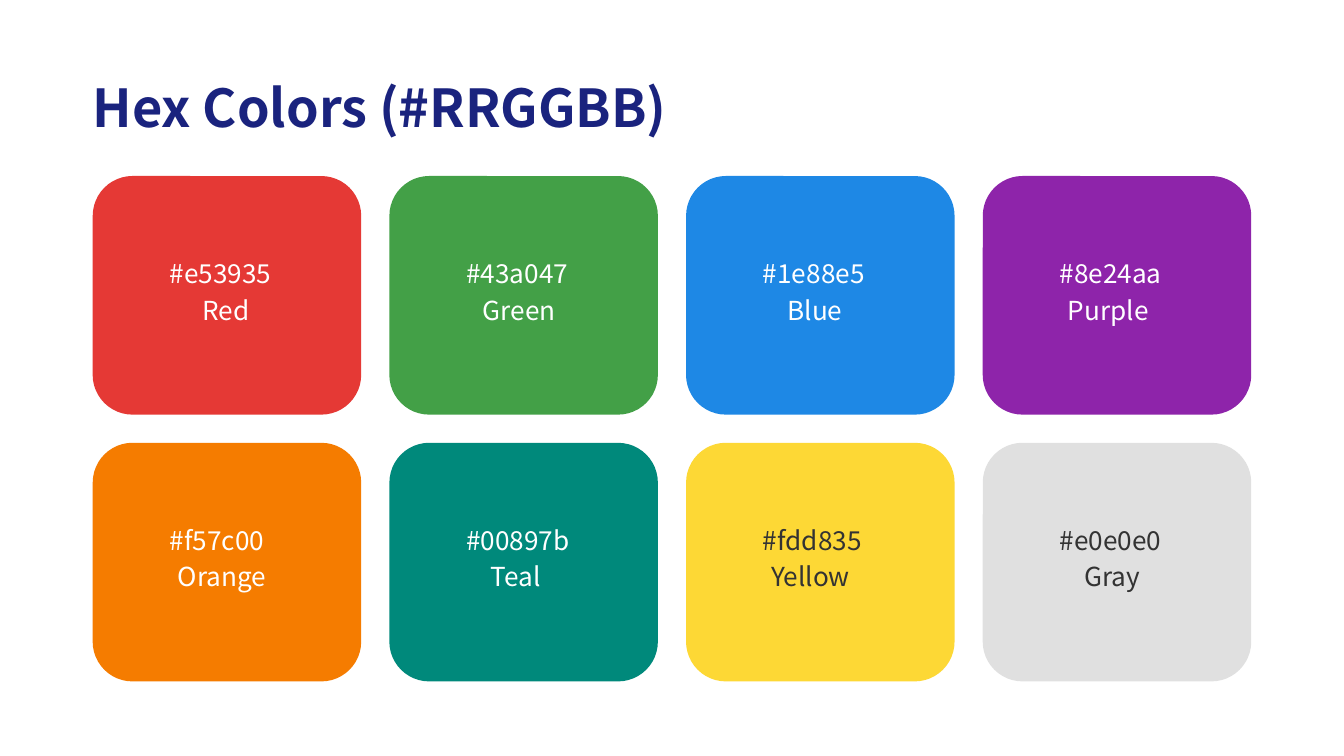
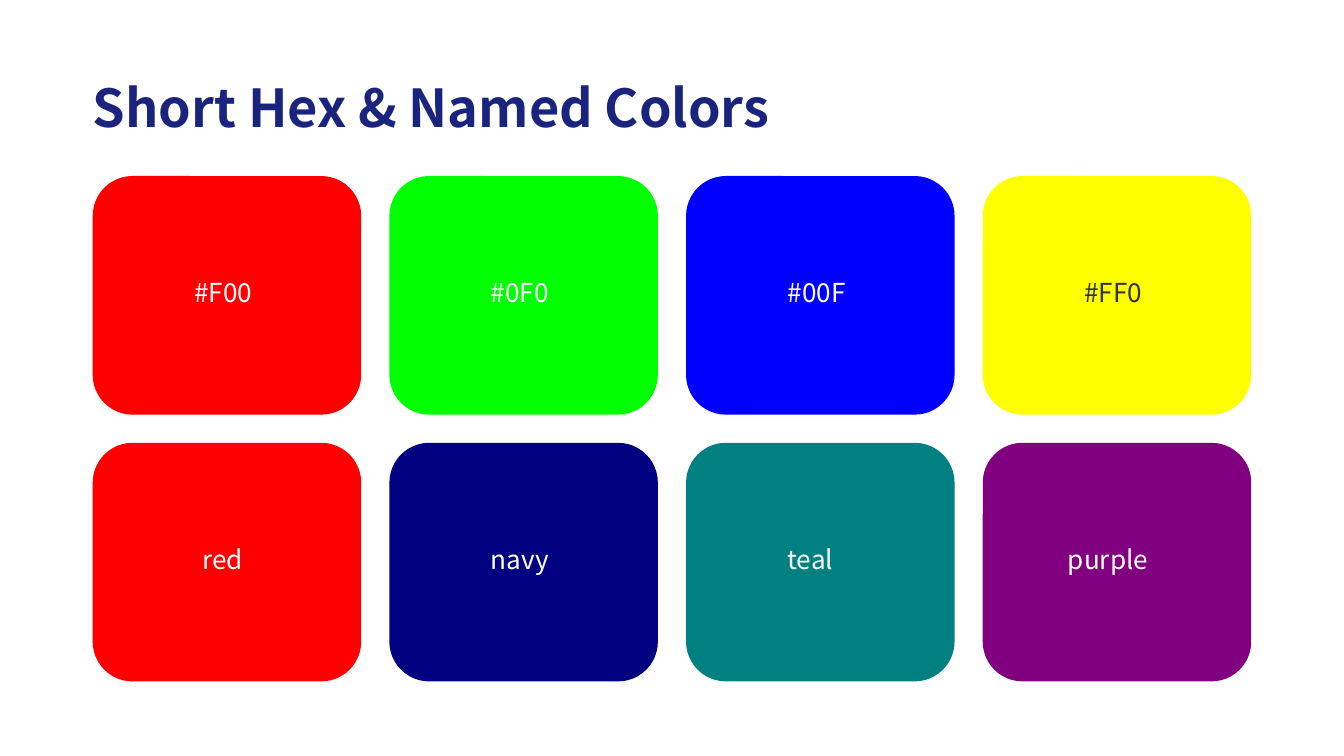
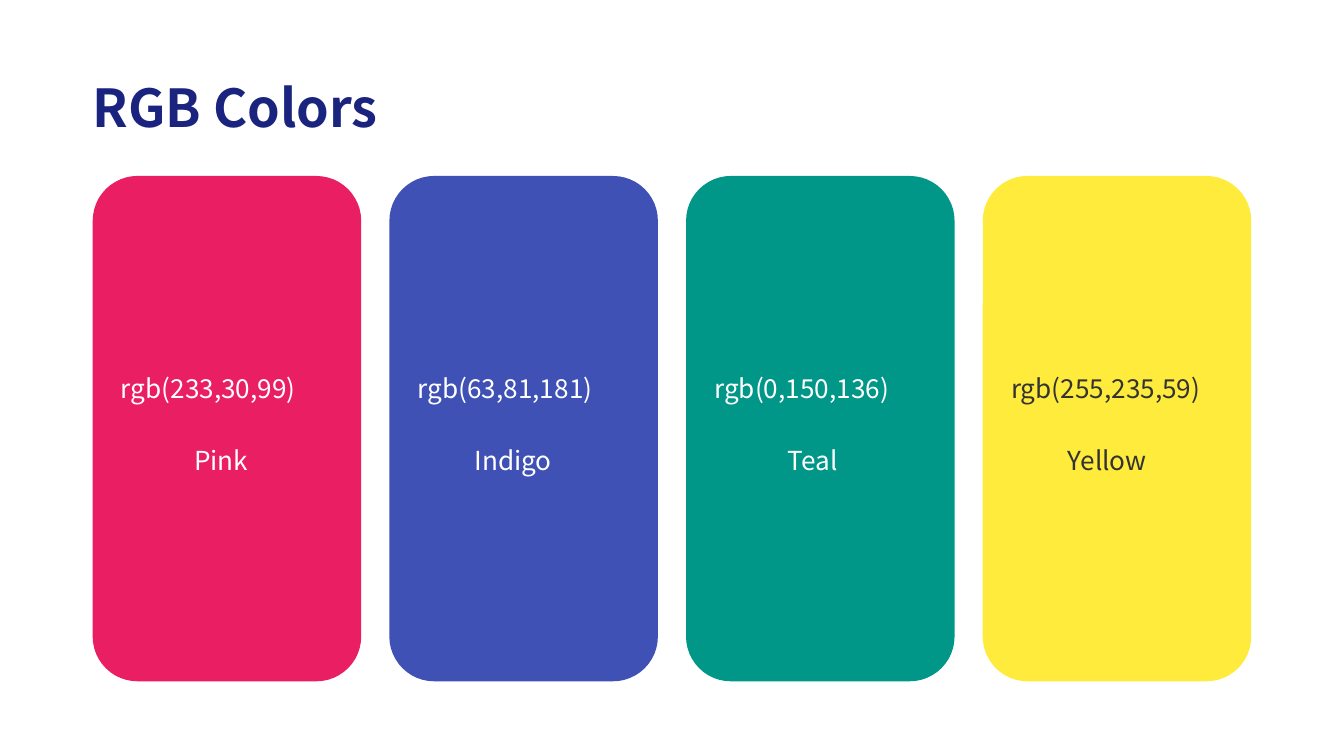
from dataclasses import dataclass
from math import ceil

from pptx import Presentation
from pptx.dml.color import RGBColor
from pptx.enum.shapes import MSO_SHAPE as Preset
from pptx.enum.text import MSO_ANCHOR as Anchor
from pptx.util import Inches, Pt


@dataclass(frozen=True)
class Theme:
    """Type, colours and grid measures shared by all slides."""
    font: str = "Noto Sans CJK SC"
    title_size: int = 28
    caption_size: int = 14
    title_ink: str = "1A237E"
    light_ink: str = "FFFFFF"
    dark_ink: str = "333333"
    bright: int = 180
    width: float = 10
    height: float = 5.625
    margin: float = 0.69
    title_top: float = 0.56
    title_height: float = 0.56
    grid_top: float = 1.31
    grid_height: float = 3.76
    gap: float = 0.21
    columns: int = 4
    letter: float = 0.122
    line_box: float = 0.28
    line_step: float = 0.27

    @property
    def content_width(self):
        """Width between the side margins."""
        return self.width - 2 * self.margin

    def ink_on(self, fill):
        """Pick the text colour that reads on a fill."""
        red, green, blue = RGBColor.from_string(fill)
        luma = 0.299 * red + 0.587 * green + 0.114 * blue
        return self.dark_ink if luma > self.bright else self.light_ink


THEME = Theme()

HEX_COLORS = [
    [("E53935", "#e53935", "Red"), ("43A047", "#43a047", "Green"),
     ("1E88E5", "#1e88e5", "Blue"), ("8E24AA", "#8e24aa", "Purple")],
    [("F57C00", "#f57c00", "Orange"), ("00897B", "#00897b", "Teal"),
     ("FDD835", "#fdd835", "Yellow"), ("E0E0E0", "#e0e0e0", "Gray")],
]
SHORT_AND_NAMED = [
    [("FF0000", "#F00"), ("00FF00", "#0F0"), ("0000FF", "#00F"), ("FFFF00", "#FF0")],
    [("FF0000", "red"), ("000080", "navy"), ("008080", "teal"), ("800080", "purple")],
]
RGB_COLORS = [
    [("E91E63", "rgb(233,30,99)", "Pink"), ("3F51B5", "rgb(63,81,181)", "Indigo"),
     ("009688", "rgb(0,150,136)", "Teal"), ("FFEB3B", "rgb(255,235,59)", "Yellow")],
]


def add_text(shapes, area, text, size, ink, bold=False):
    """Place one line of text in a box without insets."""
    box = shapes.add_textbox(*map(Inches, area))
    frame = box.text_frame
    frame.word_wrap = True
    frame.vertical_anchor = Anchor.TOP
    frame.margin_left = frame.margin_right = frame.margin_top = frame.margin_bottom = 0
    span = frame.paragraphs[0].add_run()
    span.text = text
    span.font.name = THEME.font
    span.font.size = Pt(size)
    span.font.bold = bold
    span.font.color.rgb = RGBColor.from_string(ink)


def add_captions(shapes, area, captions, ink):
    """Stack captions around the centre of a swatch."""
    left, top, width, height = area
    limit = width - 2 * THEME.gap
    lines = [ceil(len(caption) * THEME.letter / limit) for caption in captions]
    caption_top = top + (height - sum(lines) * THEME.line_box) / 2
    for caption, count in zip(captions, lines):
        caption_width = min(len(caption) * THEME.letter, limit)
        caption_left = left + (width - caption_width) / 2
        add_text(shapes, (caption_left, caption_top, caption_width, count * THEME.line_box),
                 caption, THEME.caption_size, ink)
        caption_top += count * THEME.line_step


def add_swatch(shapes, area, fill, captions):
    """Draw a rounded colour swatch with its captions."""
    swatch = shapes.add_shape(Preset.ROUNDED_RECTANGLE, *map(Inches, area))
    swatch.shadow.inherit = False
    swatch.fill.solid()
    swatch.fill.fore_color.rgb = RGBColor.from_string(fill)
    swatch.line.fill.background()
    add_captions(shapes, area, captions, THEME.ink_on(fill))


def add_swatch_grid(page, rows):
    """Share the content area among rows of swatches, one group per row."""
    width = (THEME.content_width + THEME.gap) / THEME.columns - THEME.gap
    height = (THEME.grid_height + THEME.gap) / len(rows) - THEME.gap
    for row, swatches in enumerate(rows):
        group = page.shapes.add_group_shape()
        top = THEME.grid_top + row * (height + THEME.gap)
        for column, (fill, *captions) in enumerate(swatches):
            left = THEME.margin + column * (width + THEME.gap)
            add_swatch(group.shapes, (left, top, width, height), fill, captions)


def add_color_page(deck, title, rows):
    """Add a titled slide with a grid of swatches."""
    page = deck.slides.add_slide(deck.slide_layouts[6])
    title_area = (THEME.margin, THEME.title_top, THEME.content_width, THEME.title_height)
    add_text(page.shapes, title_area, title, THEME.title_size, THEME.title_ink, bold=True)
    add_swatch_grid(page, rows)


def main():
    """Build and save the deck."""
    deck = Presentation()
    deck.slide_width = Inches(THEME.width)
    deck.slide_height = Inches(THEME.height)
    add_color_page(deck, "Hex Colors (#RRGGBB)", HEX_COLORS)
    add_color_page(deck, "Short Hex & Named Colors", SHORT_AND_NAMED)
    add_color_page(deck, "RGB Colors", RGB_COLORS)
    deck.save("out.pptx")


if __name__ == "__main__":
    main()
